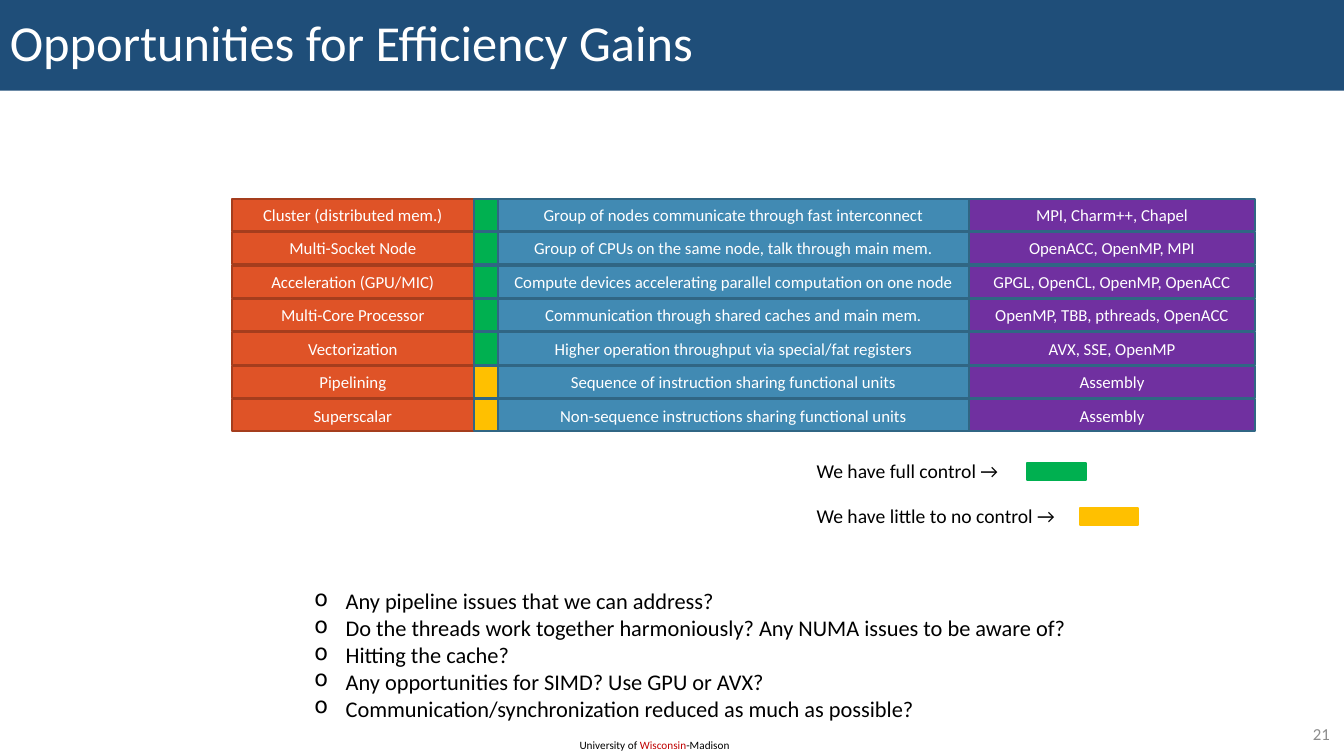
from lxml.etree import SubElement
from pptx import Presentation
from pptx.dml.color import RGBColor
from pptx.enum.shapes import MSO_SHAPE
from pptx.enum.text import MSO_ANCHOR, PP_ALIGN
from pptx.oxml.ns import qn
from pptx.util import Inches, Pt

FONT = "Calibri"
WHITE = RGBColor(0xFF, 0xFF, 0xFF)
BLACK = RGBColor(0, 0, 0)
GRAY = RGBColor(0x8C, 0x8C, 0x8C)
RED = RGBColor(0xC0, 0, 0)
NAVY = RGBColor(0x1F, 0x4E, 0x79)
ORANGE = RGBColor(0xDF, 0x53, 0x27)
DARK_ORANGE = RGBColor(0xA5, 0x3D, 0x1D)
BLUE = RGBColor(0x41, 0x8A, 0xB3)
DARK_BLUE = RGBColor(0x30, 0x66, 0x84)
PURPLE = RGBColor(0x70, 0x30, 0xA0)
GREEN = RGBColor(0, 0xB0, 0x50)
AMBER = RGBColor(0xFF, 0xC0, 0)

# Level, degree of control, description, tools
LEVELS = [
    ("Cluster (distributed mem.)", GREEN,
     "Group of nodes communicate through fast interconnect", "MPI, Charm++, Chapel"),
    ("Multi-Socket Node", GREEN,
     "Group of CPUs on the same node, talk through main mem.", "OpenACC, OpenMP, MPI"),
    ("Acceleration (GPU/MIC)", GREEN,
     "Compute devices accelerating parallel computation on one node",
     "GPGL, OpenCL, OpenMP, OpenACC"),
    ("Multi-Core Processor", GREEN,
     "Communication through shared caches and main mem.", "OpenMP, TBB, pthreads, OpenACC"),
    ("Vectorization", GREEN,
     "Higher operation throughput via special/fat registers", "AVX, SSE, OpenMP"),
    ("Pipelining", AMBER,
     "Sequence of instruction sharing functional units", "Assembly"),
    ("Superscalar", AMBER,
     "Non-sequence instructions sharing functional units", "Assembly"),
]
QUESTIONS = [
    "Any pipeline issues that we can address?",
    "Do the threads work together harmoniously? Any NUMA issues to be aware of?",
    "Hitting the cache?",
    "Any opportunities for SIMD? Use GPU or AVX?",
    "Communication/synchronization reduced as much as possible?",
]


def add_run(paragraph, text, size, color):
    run = paragraph.add_run()
    run.text = text
    run.font.name = FONT
    run.font.size = Pt(size)
    run.font.color.rgb = color


def add_block(slide, preset, box, fill, line=None):
    block = slide.shapes.add_shape(preset, *map(Inches, box))
    block.shadow.inherit = False
    block.fill.solid()
    block.fill.fore_color.rgb = fill
    if line is None:
        block.line.fill.background()
    else:
        block.line.color.rgb = line
        block.line.width = Pt(1.5)
    return block


def add_text(slide, box):
    frame = slide.shapes.add_textbox(*map(Inches, box)).text_frame
    frame.word_wrap = True
    return frame


def add_title(slide, box):
    frame = add_block(slide, MSO_SHAPE.RECTANGLE, box, NAVY).text_frame
    frame.vertical_anchor = MSO_ANCHOR.MIDDLE
    heading = frame.paragraphs[0]
    heading.alignment = PP_ALIGN.LEFT
    heading.line_spacing = 0.9
    add_run(heading, "Opportunities for Efficiency Gains", 36, WHITE)


def add_levels(slide, box):
    left, top, width, height = box
    level_width, control_width, tools_width, row_height = 2.4, 0.24, 2.84, 0.32
    description_width = width - level_width - control_width - tools_width
    pitch = (height - row_height) / (len(LEVELS) - 1)
    for index, (level, control, description, tools) in enumerate(LEVELS):
        cells = [
            (level, level_width, ORANGE, DARK_ORANGE),
            ("", control_width, control, DARK_BLUE),
            (description, description_width, BLUE, DARK_BLUE),
            (tools, tools_width, PURPLE, DARK_BLUE),
        ]
        cell_left = left
        for text, cell_width, fill, line in cells:
            cell_box = (cell_left, top + index * pitch, cell_width, row_height)
            cell = add_block(slide, MSO_SHAPE.FLOWCHART_PROCESS, cell_box, fill, line)
            if text:
                cell.text_frame.vertical_anchor = MSO_ANCHOR.MIDDLE
                label = cell.text_frame.paragraphs[0]
                label.alignment = PP_ALIGN.CENTER
                add_run(label, text, 12, WHITE)
            cell_left += cell_width


def add_legend(slide, box):
    left, top, width, height = box
    entries = [
        ("We have full control →", 2.19, GREEN),
        ("We have little to no control →", 2.71, AMBER),
    ]
    label_height = 0.34
    pitch = height - label_height
    for index, (text, swatch_offset, color) in enumerate(entries):
        label_top = top + index * pitch
        label = add_text(slide, (left, label_top, swatch_offset, label_height))
        add_run(label.paragraphs[0], text, 14, BLACK)
        swatch_box = (left + swatch_offset, label_top + 0.09, 0.58, 0.17)
        add_block(slide, MSO_SHAPE.RECTANGLE, swatch_box, color, color)


def add_questions(slide, box):
    frame = add_text(slide, box)
    for index, question in enumerate(QUESTIONS):
        item = frame.add_paragraph() if index else frame.paragraphs[0]
        add_run(item, question, 16, BLACK)
        # Hanging "o" bullet
        properties = item._p.get_or_add_pPr()
        properties.set("marL", str(Inches(0.31)))
        properties.set("indent", str(-Inches(0.31)))
        SubElement(properties, qn("a:buChar")).set("char", "o")


def add_footer(slide, box):
    left, top, width, height = box
    # University name
    university = add_text(slide, (left + 5.65, top + 0.15, 1.8, 0.24)).paragraphs[0]
    for text, color in (("University of ", BLACK), ("Wisconsin", RED), ("-Madison", BLACK)):
        add_run(university, text, 8, color)
    # Slide number
    frame = add_text(slide, (left + width - 0.8, top, 0.76, 0.29))
    frame.vertical_anchor = MSO_ANCHOR.MIDDLE
    number = frame.paragraphs[0]
    number.alignment = PP_ALIGN.RIGHT
    add_run(number, "21", 12, GRAY)


def main():
    presentation = Presentation()
    presentation.slide_width = Inches(13.33)
    presentation.slide_height = Inches(7.5)
    slide = presentation.slides.add_slide(presentation.slide_layouts[6])
    add_footer(slide, (0, 7.13, 13.33, 0.37))
    add_title(slide, (0, 0, 13.33, 0.9))
    add_legend(slide, (8, 4.5, 3.29, 0.79))
    add_levels(slide, (2.3, 1.97, 10.15, 2.31))
    add_questions(slide, (3.02, 5.78, 7.8, 1.48))
    presentation.save("out.pptx")


if __name__ == "__main__":
    main()
